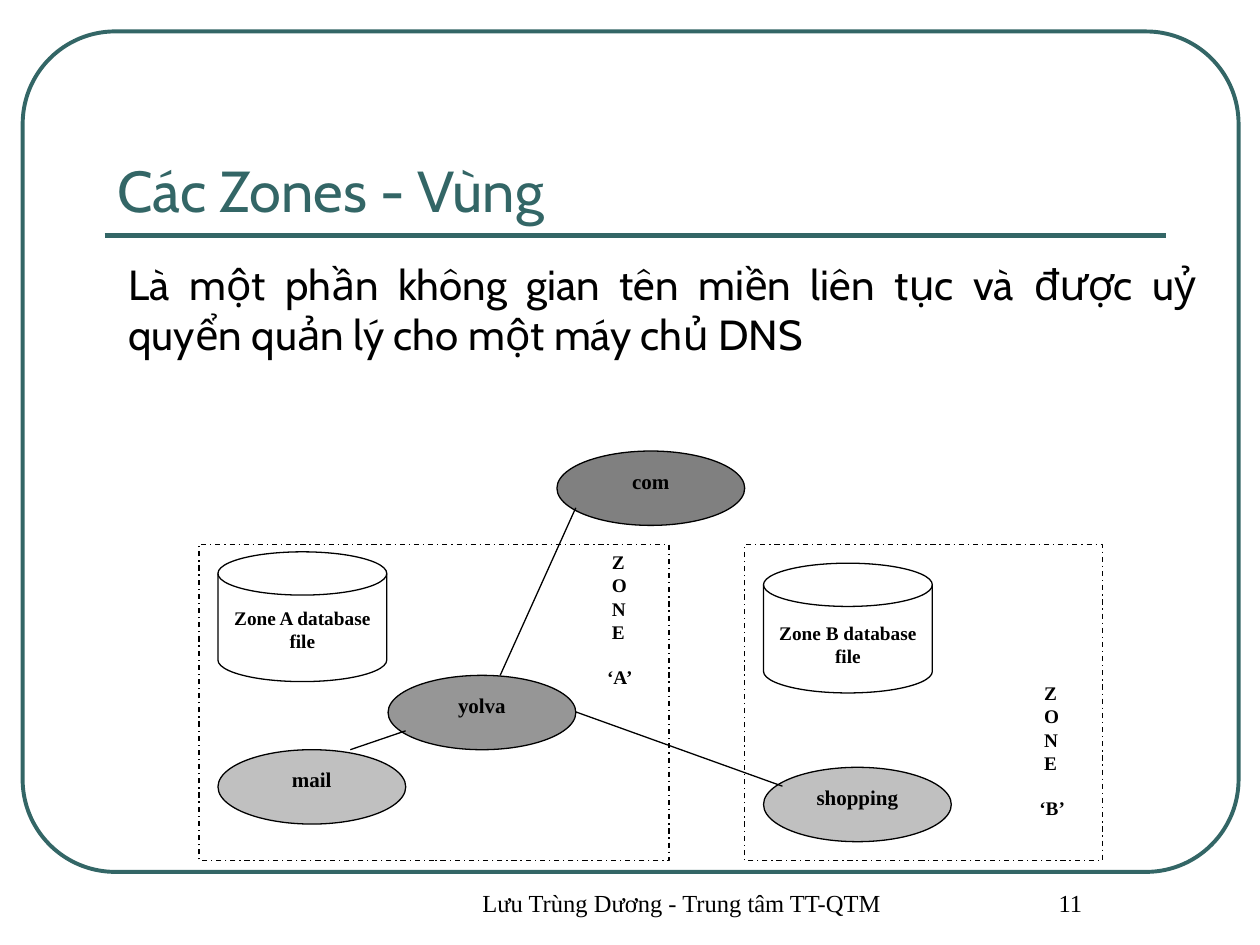
from pptx import Presentation
from pptx.dml.color import RGBColor
from pptx.enum.dml import MSO_LINE_DASH_STYLE as Dash
from pptx.enum.shapes import MSO_CONNECTOR as Connector, MSO_SHAPE as Shape
from pptx.enum.text import MSO_ANCHOR as Anchor, MSO_AUTO_SIZE as AutoSize, PP_ALIGN as Align
from pptx.oxml.ns import qn
from pptx.util import Inches, Pt

COLORS = {"teal": "336666", "black": "000000", "white": "FFFFFF",
          "dark": "808080", "medium": "969696", "light": "C0C0C0"}
SERIF, SANS = "Times New Roman", "Cabin"

deck = Presentation()
deck.slide_width, deck.slide_height = Inches(10), Inches(7.5)
page = deck.slides.add_slide(deck.slide_layouts[1])


def write(box, text, size, font=SERIF, color="black", bold=False,
          align=Align.LEFT, anchor=Anchor.TOP, indent=0):
    frame = box.text_frame
    frame.text = text
    frame.word_wrap, frame.auto_size = True, AutoSize.NONE
    frame.vertical_anchor = anchor
    for para in frame.paragraphs:
        para.alignment = align
        para.space_before = Pt(0)
        properties = para._p.get_or_add_pPr()
        properties.set("marL", str(indent))
        properties.set("indent", "0")
        properties.get_or_add_spcBef().addnext(
            properties.makeelement(qn("a:buNone"), {}))
        for span in para.runs:
            span.font.name, span.font.size, span.font.bold = font, Pt(size), bold
            span.font.color.rgb = RGBColor.from_string(COLORS[color])


def draw(kind, left, top, width, height, fill=None, line="black", weight=0.75):
    """Add a preset shape, or a straight line of the given extent for "line"."""
    x, y, dx, dy = lengths = [Inches(value) for value in (left, top, width, height)]
    if kind == "line":
        shape = page.shapes.add_connector(Connector.STRAIGHT, x, y, x + dx, y + dy)
        properties = shape._element.spPr
        properties.append(properties.makeelement(qn("a:effectLst"), {}))
    else:
        shape = page.shapes.add_shape(kind, *lengths)
        shape.shadow.inherit = False
        if fill:
            shape.fill.solid()
            shape.fill.fore_color.rgb = RGBColor.from_string(COLORS[fill])
        else:
            shape.fill.background()
    shape.line.color.rgb = RGBColor.from_string(COLORS[line])
    shape.line.width = Pt(weight)
    return shape


# Frame and title rule
border = draw(Shape.ROUNDED_RECTANGLE, 0.18, 0.25, 9.65, 6.67, line="teal", weight=2.25)
border.adjustments[0] = 0.11
draw("line", 0.83, 1.87, 8.42, 0, line="teal", weight=3)

# Title and definition
title, body = page.shapes.title, page.placeholders[1]
title.left, title.top, title.width, title.height = map(Inches, (0.83, 0.58, 8.42, 1.25))
write(title, "Các Zones - Vùng", 33, SANS, "teal", anchor=Anchor.BOTTOM)
body.left, body.top, body.width, body.height = map(Inches, (0.92, 2, 8.67, 0.9))
write(body, "Là một phần không gian tên miền liên tục và được uỷ quyển quản lý "
      "cho một máy chủ DNS", 24, SANS, align=Align.JUSTIFY)

# Zone borders
for left, width in ((5.91, 2.84), (1.58, 3.73)):
    zone = draw(Shape.RECTANGLE, left, 4.32, width, 2.51, "white")
    zone.line.dash_style = Dash.DASH_DOT

# Zone databases and vertical zone names
for name, left, disk_top, label_top, name_left, name_top in (
        ("A", 1.73, 4.38, 4.76, 4.72, 4.32),
        ("B", 6.06, 4.47, 4.88, 8.15, 5.36)):
    draw(Shape.FLOWCHART_MAGNETIC_DISK, left, disk_top, 1.34, 1.03, "white")
    label = page.shapes.add_textbox(*map(Inches, (left, label_top, 1.34, 0.59)))
    write(label, f"Zone {name} database file", 11, bold=True, align=Align.CENTER)
    letters = page.shapes.add_textbox(*map(Inches, (name_left, name_top, 0.6, 1.48)))
    write(letters, f"Z\nO\nN\nE\n‘{name}’", 11, bold=True, indent=Pt(2.75))
    last = letters.text_frame.paragraphs[-1]
    last.space_before = Pt(12.65)
    last._p.pPr.set("marL", "0")

# Domain nodes
for name, left, top, fill in (("com", 4.42, 3.58, "dark"), ("yolva", 3.08, 5.36, "medium"),
                              ("mail", 1.73, 5.95, "light"), ("shopping", 6.06, 6.09, "light")):
    node = draw(Shape.OVAL, left, top, 1.49, 0.59, fill)
    write(node, name, 12, bold=True, align=Align.CENTER)

# Links between domains
for link in ((4.57, 5.65, 1.64, 0.59), (3.22, 5.8, -0.44, 0.15), (4.57, 4.03, -0.6, 1.33)):
    draw("line", *link)

# Footer and page number
for text, left, width in (("Lưu Trùng Dương - Trung tâm TT-QTM", 3.08, 4.42), ("11", 7.5, 1.75)):
    footer = page.shapes.add_textbox(*map(Inches, (left, 7, width, 0.5)))
    write(footer, text, 14, align=Align.CENTER, indent=Inches(0.24))

deck.save("out.pptx")
